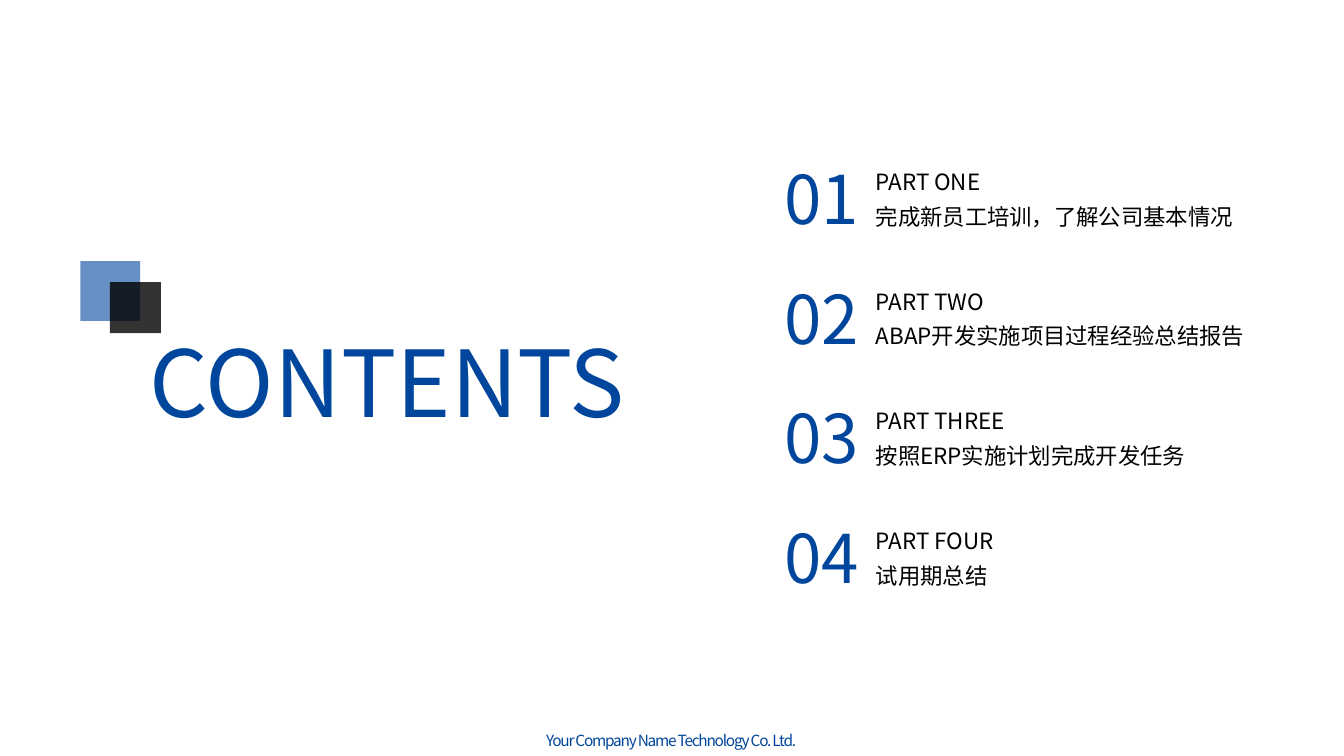
import pptx
import pptx.dml.color
import pptx.enum.shapes
import pptx.enum.text
import pptx.oxml
import pptx.oxml.ns
import pptx.util
from lxml import etree

Pt = pptx.util.Pt
FONT = "Noto Sans CJK SC"
BLUE, BLACK = "00469C", "000000"
ROW_PITCH = 85.5
# English heading, description, width of the text box
PARTS = [
    ("PART ONE", "完成新员工培训，了解公司基本情况", 272),
    ("PART TWO", "ABAP开发实施项目过程经验总结报告", 280.5),
    ("PART THREE", "按照ERP实施计划完成开发任务", 237),
    ("PART FOUR", "试用期总结", 102),
]


def rgb(color):
    return pptx.dml.color.RGBColor.from_string(color)


def add_text(page, text, left, top, width, height, size, color=BLACK,
             line_spacing=None, letter_spacing=None):
    """Add a text box with one paragraph for each line of text."""
    box = page.shapes.add_textbox(Pt(left), Pt(top), Pt(width), Pt(height))
    frame = box.text_frame
    frame.word_wrap = True
    frame.auto_size = pptx.enum.text.MSO_AUTO_SIZE.SHAPE_TO_FIT_TEXT
    for index, line in enumerate(text.split("\n")):
        para = frame.add_paragraph() if index else frame.paragraphs[0]
        if line_spacing:
            para.line_spacing = line_spacing
        span = para.add_run()
        span.text = line
        span.font.name = FONT
        span.font.size = Pt(size)
        span.font.color.rgb = rgb(color)
        properties = span._r.get_or_add_rPr()
        east_asian = etree.SubElement(properties, pptx.oxml.ns.qn("a:ea"))
        east_asian.set("typeface", FONT)
        if letter_spacing:
            properties.set("spc", str(round(letter_spacing * 100)))


def add_square(page, left, top, side, color, opacity):
    square = page.shapes.add_shape(
        pptx.enum.shapes.MSO_SHAPE.RECTANGLE, Pt(left), Pt(top), Pt(side), Pt(side))
    square.shadow.inherit = False
    square.line.fill.background()
    square.fill.solid()
    square.fill.fore_color.rgb = rgb(color)
    tint = square.fill._xPr.find(".//" + pptx.oxml.ns.qn("a:srgbClr"))
    alpha = etree.SubElement(tint, pptx.oxml.ns.qn("a:alpha"))
    alpha.set("val", str(opacity * 1000))


def add_title(page, left, top):
    add_text(page, "CONTENTS", left + 42.5, top + 42.5, 372, 87, 66, BLUE)
    add_square(page, left, top, 42.75, BLUE, 60)
    add_square(page, left + 21, top + 15, 36.5, BLACK, 80)


def add_part(page, number, heading, description, left, top, width):
    add_text(page, f"{heading}\n{description}", left + 65.5, top + 2, width, 57.6, 16,
             line_spacing=1.3)
    add_text(page, f"{number:02}", left, top, 71.3, 65.5, 48, BLUE)


def add_part_list(page, left, top):
    for row, (heading, description, width) in enumerate(PARTS):
        add_part(page, row + 1, heading, description, left, top + row * ROW_PITCH, width)


def add_footer(page, left, top):
    add_text(page, "Your Company Name Technology Co. Ltd.", left, top, 193.7, 20.9, 11,
             BLUE, letter_spacing=-0.9)


def main():
    deck = pptx.Presentation()
    deck.slide_width, deck.slide_height = Pt(960), Pt(540)
    page = deck.slides.add_slide(deck.slide_layouts[6])
    add_footer(page, 383, 519)
    add_title(page, 57.5, 186.5)
    add_part_list(page, 553, 108.7)
    deck.save("out.pptx")


if __name__ == "__main__":
    main()
